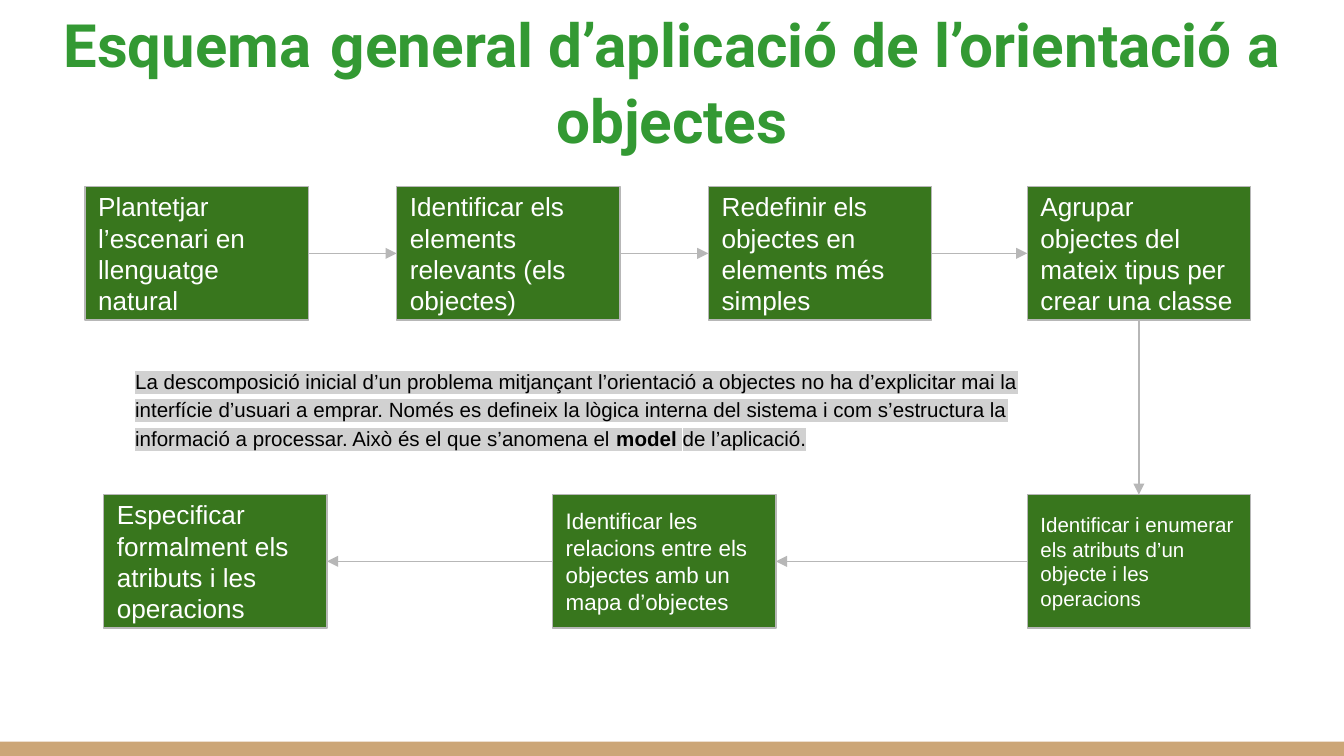
from lxml import etree
from pptx import Presentation
from pptx.dml.color import RGBColor
from pptx.enum.shapes import MSO_CONNECTOR, MSO_SHAPE
from pptx.enum.text import MSO_ANCHOR, PP_ALIGN
from pptx.oxml.ns import qn
from pptx.util import Pt

STRAIGHT = MSO_CONNECTOR.STRAIGHT
RECT = MSO_SHAPE.RECTANGLE
MIDDLE, BOTTOM, TOP = MSO_ANCHOR.MIDDLE, MSO_ANCHOR.BOTTOM, MSO_ANCHOR.TOP
LEFT, CENTER = PP_ALIGN.LEFT, PP_ALIGN.CENTER

BLACK = RGBColor(0x00, 0x00, 0x00)
WHITE = RGBColor(0xFF, 0xFF, 0xFF)
GREEN = RGBColor(0x38, 0x76, 0x1D)
TITLE_GREEN = RGBColor(0x33, 0x99, 0x33)
GRAY = RGBColor(0xB7, 0xB7, 0xB7)
TAN = RGBColor(0xCC, 0xA6, 0x77)
HIGHLIGHT = RGBColor(0xD1, 0xD1, 0xD1)

SIDE_TOP, SIDE_LEFT, SIDE_BOTTOM, SIDE_RIGHT = range(4)
BOX_W, BOX_H = 119.7, 71.5
TOP_ROW, BOTTOM_ROW = 100, 265


class Diagram:
    font = "Arial"
    title_font = "Roboto"
    inset = Pt(7.2)
    line_width = Pt(0.75)

    def __init__(self, slide):
        self.s = slide

    def frame(self, sp, anchor):
        tf = sp.text_frame
        tf.word_wrap = True
        tf.vertical_anchor = anchor
        tf.margin_left = tf.margin_right = self.inset
        tf.margin_top = tf.margin_bottom = self.inset
        return tf

    def rect(self, x, y, w, h, fill):
        sp = self.s.shapes.add_shape(RECT, Pt(x), Pt(y), Pt(w), Pt(h))
        sp.shadow.inherit = False
        sp.fill.solid()
        sp.fill.fore_color.rgb = fill
        sp.line.fill.background()
        return sp

    def box(self, x, y, text, size):
        sp = self.rect(x, y, BOX_W, BOX_H, GREEN)
        sp.line.color.rgb = GRAY
        sp.line.width = self.line_width
        p = self.frame(sp, MIDDLE).paragraphs[0]
        p.text = text
        p.alignment = LEFT
        p.font.name = self.font
        p.font.size = Pt(size)
        p.font.color.rgb = WHITE
        return sp

    def arrow(self, start, start_side, end, end_side):
        c = self.s.shapes.add_connector(STRAIGHT, 0, 0, 0, 0)
        c.begin_connect(start, start_side)
        c.end_connect(end, end_side)
        c.line.color.rgb = GRAY
        c.line.width = self.line_width
        etree.SubElement(c.line._get_or_add_ln(), qn("a:tailEnd"), type="triangle")
        etree.SubElement(c._element.spPr, qn("a:effectLst"))

    def text(self, x, y, w, h, anchor=TOP):
        sp = self.s.shapes.add_textbox(Pt(x), Pt(y), Pt(w), Pt(h))
        return self.frame(sp, anchor).paragraphs[0]

    def title(self, x, y, w, h, runs):
        p = self.text(x, y, w, h, BOTTOM)
        p.alignment = CENTER
        p.font.name = self.title_font
        for text, size, color, bold in runs:
            r = p.add_run()
            r.text = text
            r.font.size = Pt(size)
            r.font.color.rgb = color
            r.font.bold = bold

    def note(self, x, y, w, h, runs):
        p = self.text(x, y, w, h)
        p.line_spacing = 1.15
        p.space_before = p.space_after = Pt(14)
        p.font.name = self.font
        p.font.size = Pt(11)
        p.font.color.rgb = BLACK
        for text, bold in runs:
            r = p.add_run()
            r.text = text
            r.font.bold = bold
            hl = etree.SubElement(r._r.get_or_add_rPr(), qn("a:highlight"))
            etree.SubElement(hl, qn("a:srgbClr"), val=str(HIGHLIGHT))


def main():
    prs = Presentation()
    prs.slide_width, prs.slide_height = Pt(720), Pt(405)
    d = Diagram(prs.slides.add_slide(prs.slide_layouts[6]))

    d.rect(0, 397.4, 720, 7.6, TAN)
    d.title(24.5, 25.2, 671, 65.5, [
        ("Esquema", 32, TITLE_GREEN, True),
        (" ", 42, BLACK, False),
        ("general d’aplicació de l’orientació a objectes", 32.3, TITLE_GREEN, True),
    ])

    steps = [
        (45.5, TOP_ROW, "Plantetjar l’escenari en llenguatge natural", 14),
        (212.5, TOP_ROW, "Identificar els elements relevants (els objectes)", 14),
        (379.5, TOP_ROW, "Redefinir els objectes en elements més simples", 14),
        (550.3, TOP_ROW, "Agrupar objectes del mateix tipus per crear una classe", 14),
        (550.3, BOTTOM_ROW,
         "Identificar i enumerar els atributs d’un objecte i les operacions", 11),
        (296, BOTTOM_ROW,
         "Identificar les relacions entre els objectes amb un mapa d’objectes", 12),
        (55.5, BOTTOM_ROW, "Especificar formalment els atributs i les operacions", 14),
    ]
    boxes = [d.box(*step) for step in steps]
    sides = ([(SIDE_RIGHT, SIDE_LEFT)] * 3 + [(SIDE_BOTTOM, SIDE_TOP)]
             + [(SIDE_LEFT, SIDE_RIGHT)] * 2)
    for start, end, (start_side, end_side) in zip(boxes, boxes[1:], sides):
        d.arrow(start, start_side, end, end_side)

    d.note(65.3, 188.6, 501, 58.3, [
        ("La descomposició inicial d’un problema mitjançant l’orientació a objectes "
         "no ha d’explicitar mai la interfície d’usuari a emprar. Només es defineix "
         "la lògica interna del sistema i com s’estructura la informació a processar. "
         "Això és el que s’anomena el ", False),
        ("model ", True),
        ("de l’aplicació.", False),
    ])
    prs.save("out.pptx")


if __name__ == "__main__":
    main()
